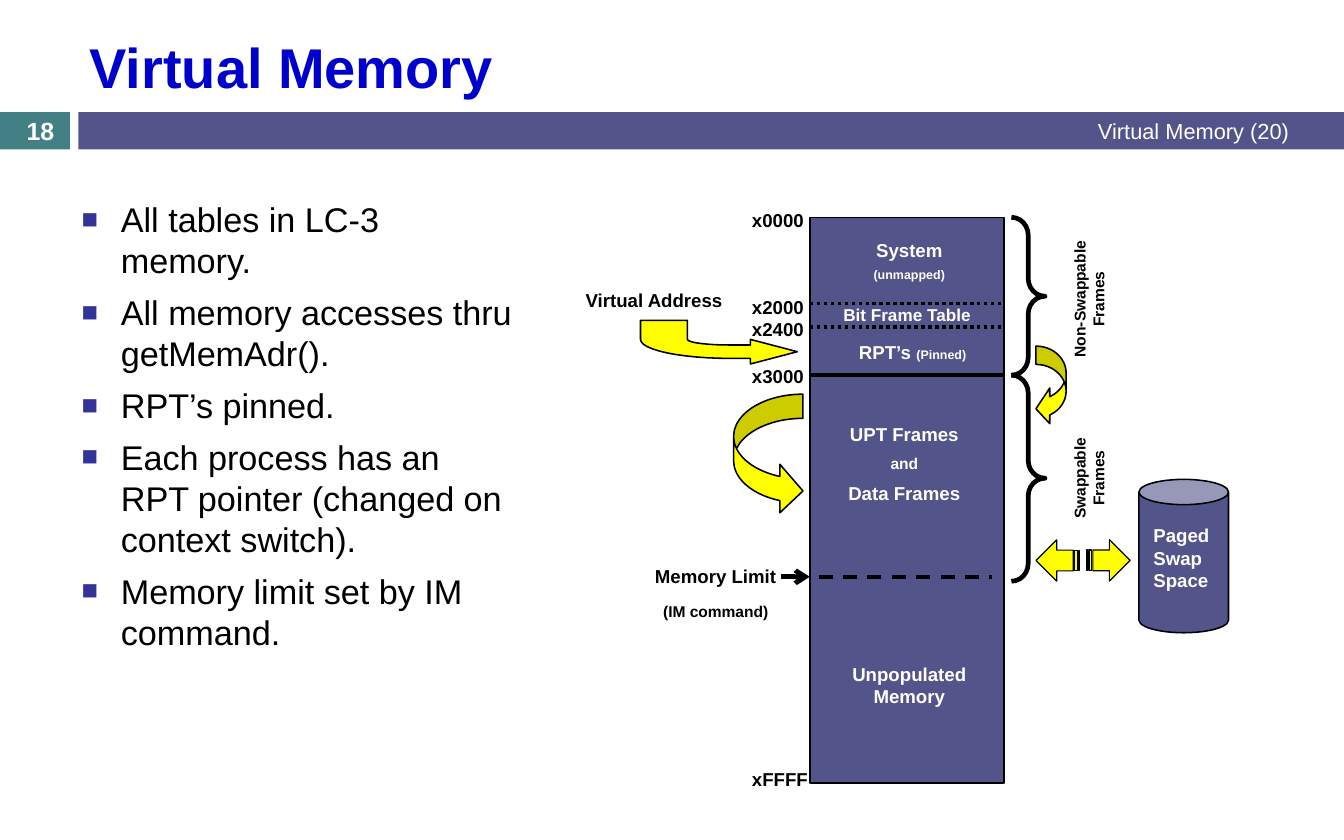
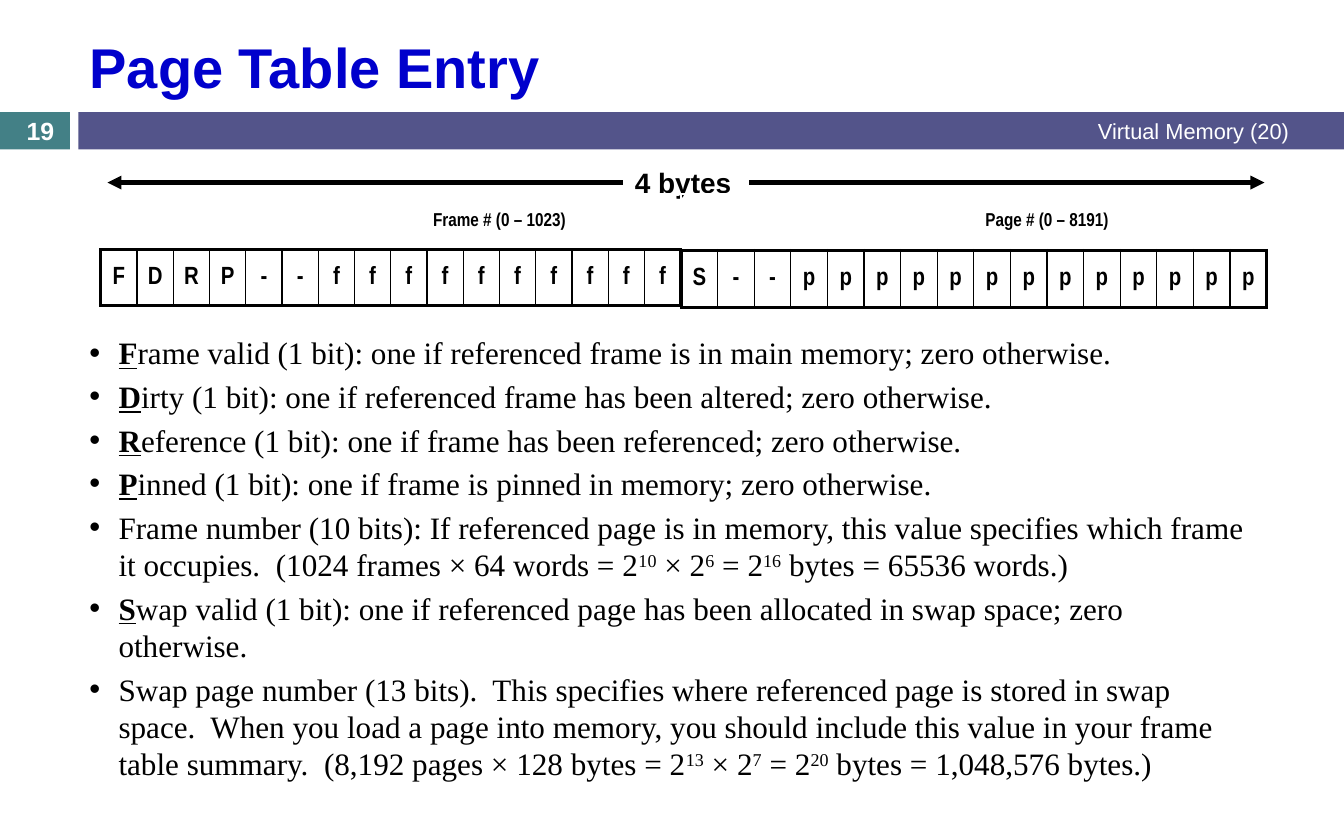
import math

import pptx
import pptx.dml.color
import pptx.enum.dml
import pptx.enum.shapes
import pptx.enum.text
import pptx.oxml
import pptx.oxml.ns
import pptx.util

Pt = pptx.util.Pt
RGB = pptx.dml.color.RGBColor
SHAPE = pptx.enum.shapes.MSO_SHAPE
DASH = pptx.enum.dml.MSO_LINE
ALIGN = pptx.enum.text.PP_ALIGN
ANCHOR = pptx.enum.text.MSO_ANCHOR
qn = pptx.oxml.ns.qn

BLACK = RGB(0x00, 0x00, 0x00)
WHITE = RGB(0xFF, 0xFF, 0xFF)
INDIGO = RGB(0x53, 0x54, 0x8A)
TEAL = RGB(0x43, 0x80, 0x86)
YELLOW = RGB(0xFF, 0xFF, 0x00)
TITLE_BLUE = RGB(0x00, 0x00, 0xCC)
BULLET_BLUE = "333399"

FOOTER = "Virtual Memory (20)"

MEMORY_POINTS = [
    "All tables in LC-3 memory.",
    "All memory accesses thru getMemAdr().",
    "RPT’s pinned.",
    "Each process has an RPT pointer (changed on context switch).",
    "Memory limit set by IM command.",
]

# Memory map: left and right edge, top, height
MAP_LEFT, MAP_RIGHT, MAP_TOP, MAP_HEIGHT = 520.6, 645.5, 139.7, 363.6
LIMIT_Y = 370.8
ADDRESSES = [("x0000", 131), ("x2000", 186.5), ("x2400", 200.9),
             ("x3000", 231.1), ("xFFFF", 490.3)]
# (y, dash)
DIVIDERS = [(195.1, DASH.ROUND_DOT), (210.2, DASH.ROUND_DOT), (241.2, None)]
# (box, gap between paragraphs, paragraphs of (text, size) runs)
REGIONS = [
    ((523.4, 149.8, 122.4, 36), 4, [[("System", 12)], [("(unmapped)", 8)]]),
    ((523.4, 192.2, 119.5, 20.9), 0, [[("Bit Frame Table", 11)]]),
    ((523.4, 215.3, 126.7, 21.6), 0, [[("RPT’s ", 12), ("(Pinned)", 8)]]),
    ((523.4, 268, 115.9, 63), 6,
     [[("UPT Frames", 12)], [("and", 10)], [("Data Frames", 12)]]),
    ((523.4, 422.6, 122.4, 36), 0, [[("Unpopulated", 12)], [("Memory", 12)]]),
]
# (brace top, brace height, label box, label lines)
BRACES = [
    (139.7, 101.5, (655.2, 176.4, 90, 31.7), ["Non-Swappable", "Frames"]),
    (241.2, 132.5, (666.7, 291.6, 67, 31.7), ["Swappable", "Frames"]),
]
# (preset, box, adjustments, rotation, line width)
ARROWS = [
    (SHAPE.CURVED_LEFT_ARROW, (666, 222.5, 19.4, 51.8), (0.607, 1.183, 0.458), 0, 1),
    (SHAPE.CURVED_RIGHT_ARROW, (471.6, 253.4, 44.6, 77.8), (0.349, 0.699, 0.333), 0, 1),
    (SHAPE.STRIPED_RIGHT_ARROW, (698.4, 347, 28.1, 26.6), (), 0, 0.75),
    (SHAPE.STRIPED_RIGHT_ARROW, (666, 347, 28.1, 26.6), (), 180, 0.75),
]

# (left, column width, row height, heading, first heading column, bits)
WORDS = [
    (437.8, 23.54, 36.4, "Page # (0 – 8191)", 4, "S--" + "p" * 13),
    (64.8, 23.31, 36, "Frame # (0 – 1023)", 6, "FDRP--" + "f" * 10),
]
TABLE_TOP = 124.6

# (emphasised letter, rest); text between carets is superscript
ENTRY_FIELDS = [
    ("F", "rame valid (1 bit): one if referenced frame is in main memory; zero otherwise."),
    ("D", "irty (1 bit): one if referenced frame has been altered; zero otherwise."),
    ("R", "eference (1 bit): one if frame has been referenced; zero otherwise."),
    ("P", "inned (1 bit): one if frame is pinned in memory; zero otherwise."),
    ("", "Frame number (10 bits): If referenced page is in memory, this value specifies "
         "which frame it occupies.  (1024 frames × 64 words = 2^10^ × 2^6^ = 2^16^ bytes "
         "= 65536 words.)"),
    ("S", "wap valid (1 bit): one if referenced page has been allocated in swap space; "
          "zero otherwise."),
    ("", "Swap page number (13 bits).  This specifies where referenced page is stored in "
         "swap space.  When you load a page into memory, you should include this value in "
         "your frame table summary.  (8,192 pages × 128 bytes = 2^13^ × 2^7^ = 2^20^ bytes "
         "= 1,048,576 bytes.)"),
]


def add_run(p, text, size, color=BLACK, bold=True, font="Arial"):
    r = p.add_run()
    r.text = text
    r.font.size, r.font.bold, r.font.name = Pt(size), bold, font
    r.font.color.rgb = color
    return r


def add_frame(s, box, anchor=ANCHOR.TOP):
    sp = s.shapes.add_textbox(*map(Pt, box))
    sp.text_frame.word_wrap = True
    sp.text_frame.vertical_anchor = anchor
    return sp


def add_paragraph(tf, index):
    return tf.paragraphs[0] if index == 0 else tf.add_paragraph()


def add_label(s, box, lines, color=BLACK, align=ALIGN.LEFT, gap=0,
              anchor=ANCHOR.TOP, bold=True):
    """Lines are lists of (text, size) runs; gap is the space between them."""
    sp = add_frame(s, box, anchor)
    for i, runs in enumerate(lines):
        p = add_paragraph(sp.text_frame, i)
        p.alignment = align
        p.space_before = Pt(gap if i else 0)
        for text, size in runs:
            add_run(p, text, size, color, bold)
    return sp


def style_shape(sp, fill, line_width=0):
    sp.shadow.inherit = False
    if fill is None:
        sp.fill.background()
    else:
        sp.fill.solid()
        sp.fill.fore_color.rgb = fill
    if line_width:
        sp.line.color.rgb = BLACK
        sp.line.width = Pt(line_width)
    else:
        sp.line.fill.background()


def add_shape(s, preset, box, fill, line_width=0, adjustments=()):
    sp = s.shapes.add_shape(preset, *map(Pt, box))
    style_shape(sp, fill, line_width)
    for i, value in enumerate(adjustments):
        sp.adjustments[i] = value
    return sp


def add_line(s, x1, x2, y, width, dash=None, head=None):
    """Horizontal line; head is the arrowhead type at x2."""
    line = s.shapes.add_connector(pptx.enum.shapes.MSO_CONNECTOR.STRAIGHT,
                                  Pt(x1), Pt(y), Pt(x2), Pt(y))
    line.line.color.rgb = BLACK
    line.line.width = Pt(width)
    if dash is not None:
        line.line.dash_style = dash
    if head:
        pptx.oxml.ns  # namespace map used by qn
        end = line.line._get_or_add_ln().makeelement(qn("a:tailEnd"), {"type": head})
        line.line._get_or_add_ln().append(end)
    sp_pr = line._element.spPr
    sp_pr.append(sp_pr.makeelement(qn("a:effectLst"), {}))


def set_bullet(p, char, indent, color=None, percent=None):
    p_pr = p._p.get_or_add_pPr()
    p_pr.set("marL", str(Pt(indent)))
    p_pr.set("indent", str(-Pt(indent)))

    def child(parent, tag, **attributes):
        el = parent.makeelement(qn(tag), attributes)
        parent.append(el)
        return el

    if color:
        child(child(p_pr, "a:buClr"), "a:srgbClr", val=color)
    if percent:
        child(p_pr, "a:buSzPct", val=str(percent * 1000))
    child(p_pr, "a:buFont", typeface="Arial")
    child(p_pr, "a:buChar", char=char)


def add_base_slide(prs, title, number):
    s = prs.slides.add_slide(prs.slide_layouts[5])
    add_shape(s, SHAPE.RECTANGLE, (0, 72, 45, 24), TEAL)
    add_shape(s, SHAPE.RECTANGLE, (50.4, 72, 813.6, 24), INDIGO)
    sp = s.shapes.title
    sp.left, sp.top, sp.width, sp.height = map(Pt, (50.4, 13.7, 785.5, 57.6))
    tf = sp.text_frame
    tf.auto_size = pptx.enum.text.MSO_AUTO_SIZE.NONE
    tf.vertical_anchor = ANCHOR.MIDDLE
    tf.paragraphs[0].alignment = ALIGN.LEFT
    add_run(tf.paragraphs[0], title, 36, TITLE_BLUE)
    add_label(s, (324, 71.5, 511.9, 25), [[(FOOTER, 14)]], WHITE, ALIGN.RIGHT,
              anchor=ANCHOR.MIDDLE, bold=False)
    add_label(s, (0, 73.4, 51.8, 21.6), [[(str(number), 16)]], WHITE, ALIGN.CENTER,
              anchor=ANCHOR.MIDDLE)
    return s


def add_address_arrow(s):
    """Arrow that bends a quarter turn from Virtual Address into the map."""
    def arc(rx, ry):
        angles = [math.radians(90 + 7.5 * k) for k in range(13)]
        return [(469.4 + rx * math.cos(a), 218.2 + ry * math.sin(a)) for a in angles]

    points = ([(512.6, 226.1), (482.4, 234), (482.4, 230.4)] + arc(57.6, 12.2)
              + [(411.8, 205.9), (442, 205.9)] + arc(27.4, 3.6)[::-1]
              + [(482.4, 221.8), (482.4, 218.2)])
    points = [(x * 100, y * 100) for x, y in points]
    builder = s.shapes.build_freeform(*points[0], scale=Pt(1) / 100)
    builder.add_line_segments(points[1:], close=True)
    style_shape(builder.convert_to_shape(), YELLOW, 1)


def build_memory_slide(prs):
    s = add_base_slide(prs, "Virtual Memory", 18)
    body = add_frame(s, (45.4, 123.8, 293.8, 395.3))
    for i, text in enumerate(MEMORY_POINTS):
        p = add_paragraph(body.text_frame, i)
        p.space_before = Pt(7)
        set_bullet(p, "■", 25.2, BULLET_BLUE, 80)
        add_run(p, text, 22, bold=False)

    add_shape(s, SHAPE.RECTANGLE,
              (MAP_LEFT, MAP_TOP, MAP_RIGHT - MAP_LEFT, MAP_HEIGHT), INDIGO, 1)
    for text, top in ADDRESSES:
        add_label(s, (476.3, top, 56.2, 21.6), [[(text, 12)]])
    for box, gap, lines in REGIONS:
        add_label(s, box, lines, WHITE, ALIGN.CENTER, gap)
    for y, dash in DIVIDERS:
        add_line(s, MAP_LEFT, MAP_RIGHT, y, 2.25, dash)
    add_line(s, 526.3, 637.9, LIMIT_Y, 2.25, DASH.DASH)
    add_line(s, 501.8, MAP_LEFT, LIMIT_Y, 3, head="arrow")
    add_label(s, (409.7, 359.3, 100.8, 43.9),
              [[("Memory Limit", 12)], [("(IM command)", 10)]],
              align=ALIGN.CENTER, gap=9.7)

    add_address_arrow(s)
    add_label(s, (369.4, 182.2, 107.3, 21.6), [[("Virtual Address", 12)]])
    for preset, box, adjustments, rotation, width in ARROWS:
        add_shape(s, preset, box, YELLOW, width, adjustments).rotation = rotation

    for top, height, box, lines in BRACES:
        add_shape(s, SHAPE.RIGHT_BRACE, (650.2, top, 21.6, height), None, 3, (0.53, 0.5))
        sp = add_label(s, box, [[(text, 10)] for text in lines], align=ALIGN.CENTER)
        sp.text_frame.word_wrap = False
        sp.rotation = 270

    add_shape(s, SHAPE.CAN, (732.2, 308.2, 57.6, 98.6), INDIGO, 1, (0.282,))
    add_label(s, (734.4, 333.4, 57.6, 51.1),
              [[(text, 12)] for text in ("Paged", "Swap", "Space")], WHITE)


def set_borders(cell, **widths):
    """Black borders by side (L, R, T, B), in points; call before the fill is set."""
    tc_pr = cell._tc.get_or_add_tcPr()
    for side in "LRTB":
        if side in widths:
            tc_pr.append(pptx.oxml.parse_xml(
                f'<a:ln{side} xmlns:a="http://schemas.openxmlformats.org/drawingml/2006/main" '
                f'w="{Pt(widths[side])}"><a:solidFill><a:srgbClr val="{BLACK}"/>'
                f'</a:solidFill></a:ln{side}>'))


def add_word_table(s, left, col_width, row_height, heading, start, bits):
    last = len(bits) - 1
    table = s.shapes.add_table(2, len(bits), Pt(left), Pt(TABLE_TOP),
                               Pt(col_width * len(bits)), Pt(row_height * 2)).table
    table.first_row = table.horz_banding = False
    for row in table.rows:
        row.height = Pt(row_height)
    for i, bit in enumerate(bits):
        table.columns[i].width = Pt(col_width)
        top, cell = table.cell(0, i), table.cell(1, i)
        set_borders(top, B=2.25)
        set_borders(cell, L=1 if i else 2.25, R=1 if i < last else 2.25, T=2.25, B=2.25)
        top.fill.background()
        cell.fill.background()
        cell.margin_left = cell.margin_right = cell.margin_top = cell.margin_bottom = 0
        fill_cell(cell, bit, 16)
    table.cell(0, start).merge(table.cell(0, last))
    fill_cell(table.cell(0, start), heading, 12)


def fill_cell(cell, text, size):
    cell.vertical_anchor = ANCHOR.MIDDLE
    p = cell.text_frame.paragraphs[0]
    p.alignment = ALIGN.CENTER
    add_run(p, text, size, font="Arial Narrow")


def build_entry_slide(prs):
    s = add_base_slide(prs, "Page Table Entry", 19)
    add_line(s, 400.3, 69.1, 117.4, 3, head="triangle")
    add_line(s, 481.7, 812.9, 117.4, 3, head="triangle")
    add_label(s, (375.8, 103, 126.7, 28.8), [[("4 bytes", 18)]], align=ALIGN.CENTER)
    for word in WORDS:
        add_word_table(s, *word)

    tf = add_frame(s, (50.4, 214.6, 763.9, 295.9)).text_frame
    tf.margin_top = tf.margin_bottom = 0
    for i, (letter, rest) in enumerate(ENTRY_FIELDS):
        p = add_paragraph(tf, i)
        p.space_before = Pt(4)
        set_bullet(p, "•", 18.7)
        if letter:
            add_run(p, letter, 20, font="Times New Roman").font.underline = True
        for k, text in enumerate(rest.split("^")):
            r = add_run(p, text, 20, bold=False, font="Times New Roman")
            if k % 2:
                r._r.get_or_add_rPr().set("baseline", "30000")


def main():
    prs = pptx.Presentation()
    prs.slide_width, prs.slide_height = Pt(864), Pt(540)
    build_memory_slide(prs)
    build_entry_slide(prs)
    prs.save("out.pptx")


if __name__ == "__main__":
    main()
